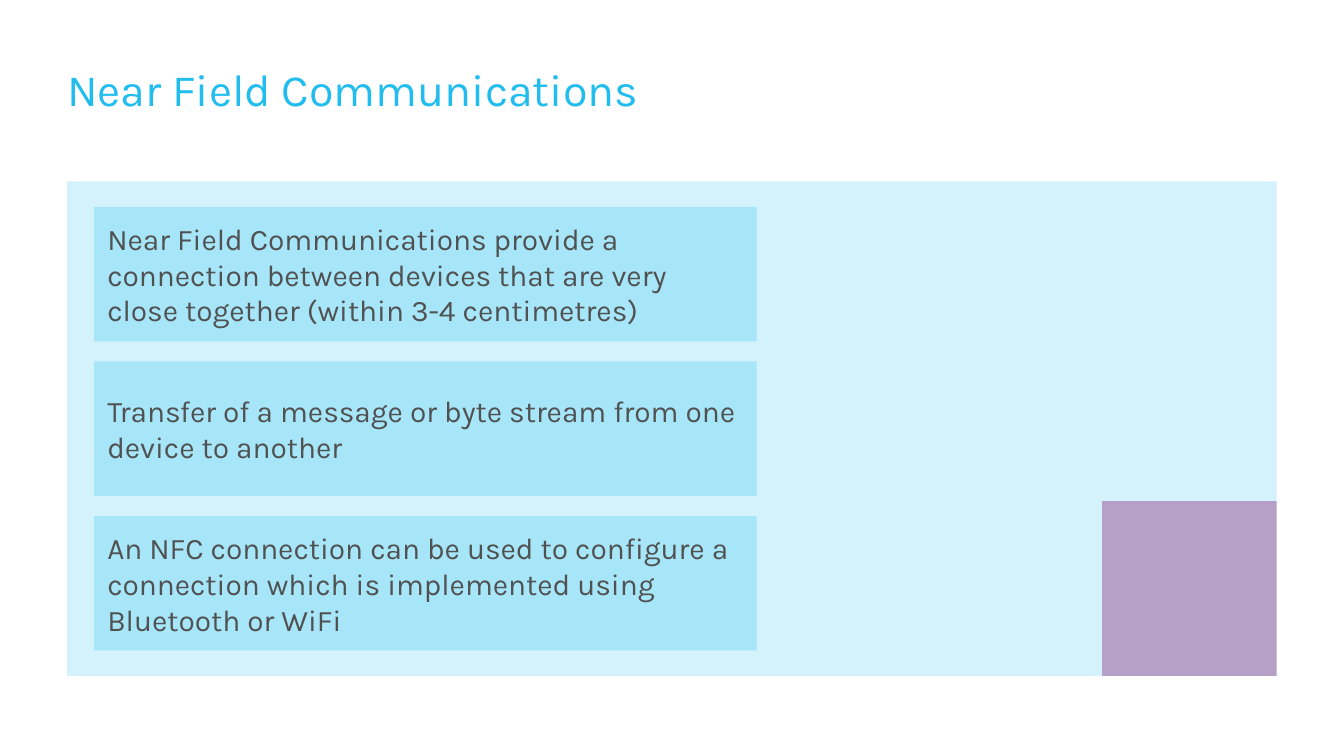
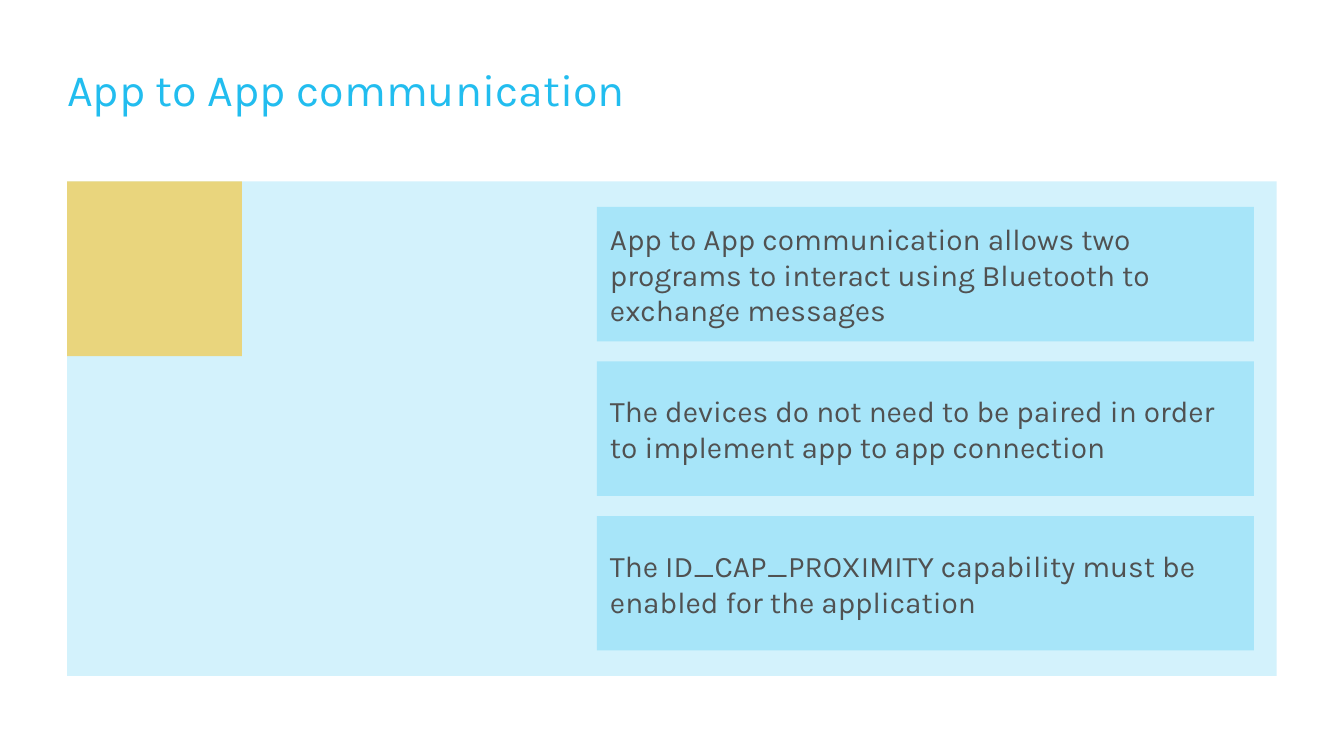
from dataclasses import dataclass

from lxml.etree import SubElement
from pptx import Presentation
from pptx.dml.color import RGBColor
from pptx.enum.shapes import MSO_SHAPE
from pptx.enum.text import MSO_ANCHOR, MSO_AUTO_SIZE, PP_ALIGN
from pptx.oxml.ns import qn
from pptx.presentation import Presentation as Deck
from pptx.shapes.autoshape import Shape
from pptx.slide import Slide
from pptx.text.text import TextFrame
from pptx.util import Emu, Pt

# Scale: 200 px to the inch
PX = 4572
SLIDE_WIDTH, SLIDE_HEIGHT = 2000, 1125

# Shared style
FONT = "Karla"
TITLE_BLUE = RGBColor(0x22, 0xBD, 0xEF)
PANEL_BLUE = RGBColor(0xD3, 0xF2, 0xFC)
BOX_BLUE = RGBColor(0xA7, 0xE5, 0xF9)
TEXT_GREY = RGBColor(0x50, 0x51, 0x51)
PURPLE = RGBColor(0x9B, 0x4F, 0x96)
AMBER = RGBColor(0xFF, 0xB9, 0x00)

BOX_TOP, BOX_HEIGHT, BOX_STEP = 308, 200, 230


@dataclass(frozen=True)
class Rect:
    left: int
    top: int
    width: int
    height: int

    def emu(self) -> tuple[Emu, Emu, Emu, Emu]:
        return (Emu(self.left * PX), Emu(self.top * PX),
                Emu(self.width * PX), Emu(self.height * PX))


@dataclass(frozen=True)
class Page:
    title: str
    accent: Rect
    accent_color: RGBColor
    box_left: int
    box_width: int
    points: tuple[str, ...]


TITLE = Rect(100, 88, 1800, 78)
PANEL = Rect(100, 270, 1800, 736)

PAGES = (
    Page("Near Field Communications", Rect(1640, 746, 260, 260), PURPLE, 140, 986, (
        "Near Field Communications provide a connection between devices "
        "that are very close together (within 3-4 centimetres)",
        "Transfer of a message or byte stream from one device to another",
        "An NFC connection can be used to configure a connection "
        "which is implemented using Bluetooth or WiFi",
    )),
    Page("App to App communication", Rect(100, 270, 260, 260), AMBER, 888, 978, (
        "App to App communication allows two programs to interact "
        "using Bluetooth to exchange messages",
        "The devices do not need to be paired in order "
        "to implement app to app connection",
        "The ID_CAP_PROXIMITY capability must be enabled for the application",
    )),
)


def set_text(tf: TextFrame, text: str, size: int, color: RGBColor,
             anchor: MSO_ANCHOR, side_inset: int = 0) -> None:
    tf.text = text
    tf.word_wrap = True
    tf.vertical_anchor = anchor
    tf.margin_left = tf.margin_right = Emu(side_inset * PX)
    tf.margin_top = tf.margin_bottom = 0
    p = tf.paragraphs[0]
    p.alignment = PP_ALIGN.LEFT
    p.font.name = FONT
    p.font.size = Pt(size)
    p.font.color.rgb = color


def add_title(s: Slide, text: str) -> None:
    sp = s.shapes.title
    sp.left, sp.top, sp.width, sp.height = TITLE.emu()
    tf = sp.text_frame
    set_text(tf, text, 24, TITLE_BLUE, MSO_ANCHOR.TOP)
    tf.auto_size = MSO_AUTO_SIZE.SHAPE_TO_FIT_TEXT
    tf.paragraphs[0].line_spacing = 1.05


def add_rect(s: Slide, rect: Rect, color: RGBColor, opacity: int = 100) -> Shape:
    sp = s.shapes.add_shape(MSO_SHAPE.RECTANGLE, *rect.emu())
    sp.shadow.inherit = False
    sp.fill.solid()
    sp.fill.fore_color.rgb = color
    sp.line.fill.background()
    if opacity < 100:
        clr = sp.element.spPr.find(qn("a:solidFill")).find(qn("a:srgbClr"))
        SubElement(clr, qn("a:alpha")).set("val", str(opacity * 1000))
    return sp


def add_page(prs: Deck, page: Page) -> None:
    s = prs.slides.add_slide(prs.slide_layouts[5])
    add_title(s, page.title)

    # Panel with its translucent corner square
    add_rect(s, PANEL, PANEL_BLUE)
    add_rect(s, page.accent, page.accent_color, opacity=50)

    # Stack of text boxes
    for i, text in enumerate(page.points):
        rect = Rect(page.box_left, BOX_TOP + i * BOX_STEP, page.box_width, BOX_HEIGHT)
        sp = add_rect(s, rect, BOX_BLUE)
        set_text(sp.text_frame, text, 16, TEXT_GREY, MSO_ANCHOR.MIDDLE, side_inset=20)


def main() -> None:
    prs = Presentation()
    prs.slide_width = Emu(SLIDE_WIDTH * PX)
    prs.slide_height = Emu(SLIDE_HEIGHT * PX)
    for page in PAGES:
        add_page(prs, page)
    prs.save("out.pptx")


if __name__ == "__main__":
    main()
